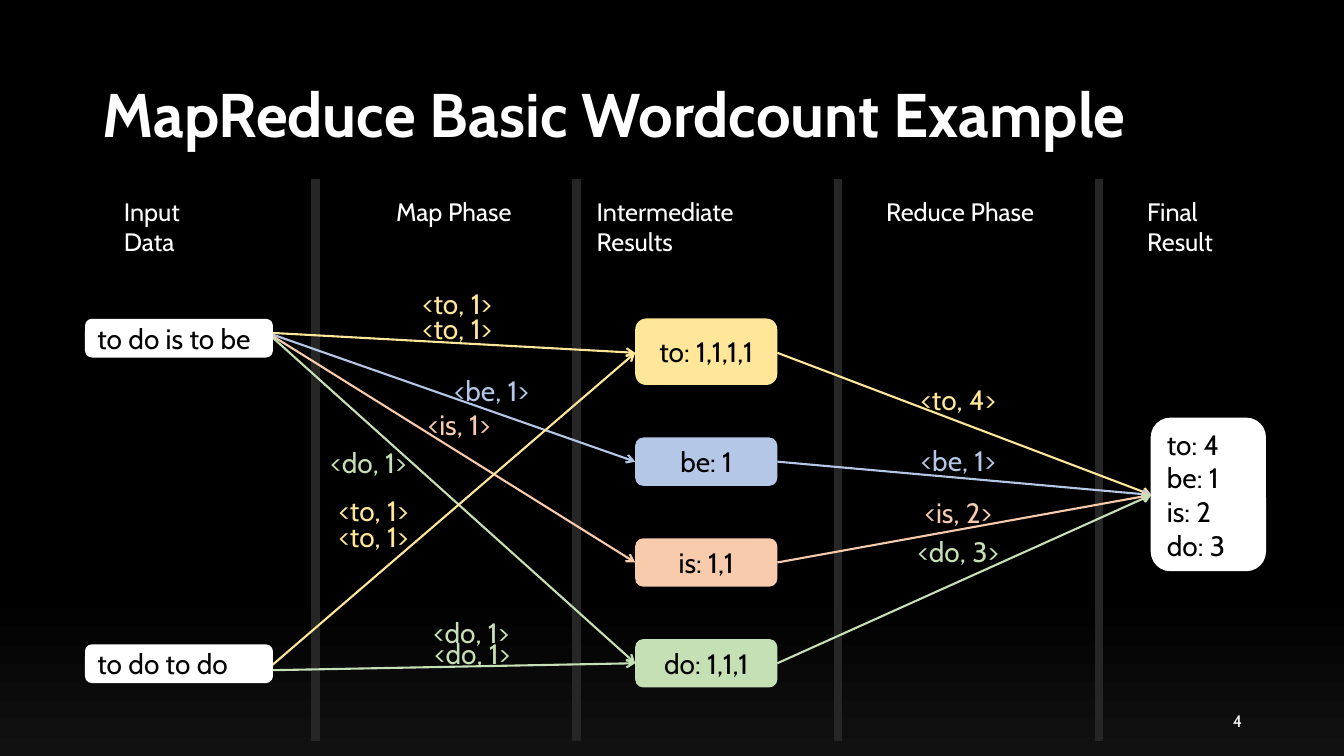
import pptx
import pptx.util
import pptx.dml.color
import pptx.enum.shapes
import pptx.enum.text
import pptx.oxml.ns
import pptx.oxml.xmlchemy

Inches, Pt = pptx.util.Inches, pptx.util.Pt
RGBColor = pptx.dml.color.RGBColor
OxmlElement = pptx.oxml.xmlchemy.OxmlElement
ALIGN, ANCHOR = pptx.enum.text.PP_ALIGN, pptx.enum.text.MSO_ANCHOR
AUTO = pptx.enum.text.MSO_AUTO_SIZE

WHITE = RGBColor(0xFF, 0xFF, 0xFF)
BLACK = RGBColor(0x00, 0x00, 0x00)
NEAR_BLACK = RGBColor(0x11, 0x11, 0x11)
GREY = RGBColor(0x26, 0x26, 0x26)
YELLOW = RGBColor(0xFF, 0xE6, 0x99)
BLUE = RGBColor(0xB4, 0xC7, 0xE7)
ORANGE = RGBColor(0xF8, 0xCB, 0xAD)
GREEN = RGBColor(0xC5, 0xE0, 0xB4)


def write(tf, text, size=20, color=WHITE, bold=False, align=ALIGN.LEFT,
          anchor=ANCHOR.TOP, spacing=None, font="Cabin"):
    """Newlines separate paragraphs, vertical tabs break lines."""
    tf.word_wrap = True
    tf.vertical_anchor = anchor
    for i, line in enumerate(text.split("\n")):
        p = tf.add_paragraph() if i else tf.paragraphs[0]
        p.text = line
        p.alignment = align
        if spacing:
            p.line_spacing = spacing
        for r in p.runs:
            r.font.name, r.font.size, r.font.bold = font, Pt(size), bold
            r.font.color.rgb = color


class Deck:
    def __init__(self):
        self.prs = pptx.Presentation()
        self.prs.slide_width, self.prs.slide_height = Inches(13.33), Inches(7.5)
        self.s = self.prs.slides.add_slide(self.prs.slide_layouts[5])

    def background(self, *stops):
        fill = self.s.background.fill
        fill.gradient()
        fill.gradient_angle = 270
        for stop, (position, color) in zip(fill.gradient_stops, stops):
            stop.position, stop.color.rgb = position, color

    def title(self, text, x, y, w, h):
        sp = self.s.shapes.title
        sp.left, sp.top, sp.width, sp.height = map(Inches, (x, y, w, h))
        sp.text_frame.auto_size = AUTO.NONE
        write(sp.text_frame, text, size=44, bold=True, anchor=ANCHOR.MIDDLE, spacing=0.9)

    def text(self, text, x, y, w, h, **style):
        sp = self.s.shapes.add_textbox(*map(Inches, (x, y, w, h)))
        write(sp.text_frame, text, **style)

    def box(self, text, x, y, w, h, fill, line=None, align=ALIGN.CENTER):
        kind = pptx.enum.shapes.MSO_SHAPE.ROUNDED_RECTANGLE
        sp = self.s.shapes.add_shape(kind, *map(Inches, (x, y, w, h)))
        sp.shadow.inherit = False
        sp.fill.solid()
        sp.fill.fore_color.rgb = fill
        if line is None:
            sp.line.fill.background()
        else:
            sp.line.color.rgb, sp.line.width = line, Pt(1)
        write(sp.text_frame, text, color=BLACK, align=align, anchor=ANCHOR.MIDDLE)

    def line(self, start, end, color, width=1.5, arrow=True):
        straight = pptx.enum.shapes.MSO_CONNECTOR.STRAIGHT
        c = self.s.shapes.add_connector(straight, *map(Inches, (*start, *end)))
        c.line.color.rgb, c.line.width = color, Pt(width)
        sp_pr = c._element.find(pptx.oxml.ns.qn("p:spPr"))
        if arrow:
            tail = OxmlElement("a:tailEnd")
            tail.set("type", "arrow")
            sp_pr.find(pptx.oxml.ns.qn("a:ln")).append(tail)
        sp_pr.append(OxmlElement("a:effectLst"))


def main():
    d = Deck()
    d.background((0.78, BLACK), (1.0, NEAR_BLACK))

    # Phase dividers, title and page number
    for i in range(4):
        x = 3.13 + 2.59 * i
        d.line((x, 1.78), (x, 7.35), GREY, width=6, arrow=False)
    d.title("MapReduce Basic Wordcount Example", 0.92, 0.44, 11.5, 1.45)
    d.text("4", 9.42, 6.95, 3, 0.4, size=12, align=ALIGN.RIGHT, anchor=ANCHOR.MIDDLE)

    # Column headings
    for heading, x, w in (("Input\vData", 1.13, 1.31), ("Map Phase", 3.83, 1.45),
                          ("Intermediate\vResults", 5.82, 2.36),
                          ("Reduce Phase", 8.69, 1.67), ("Final\vResult", 11.28, 1.4)):
        d.text(heading, x, 1.9, w, 0.4, size=18)

    # Map arrows, from the two inputs to each word
    first, second = (2.65, 3.3), (2.64, 6.65)
    word_y = {YELLOW: 3.5, BLUE: 4.58, ORANGE: 5.58, GREEN: 6.58}
    for start, colors in ((first, word_y), (second, (YELLOW, GREEN))):
        for color in colors:
            d.line(start, (6.3, word_y[color]), color)

    # Input data
    for text, y in (("to do is to be", 3.17), ("to do to do", 6.4)):
        d.box(text, 0.85, y, 1.85, 0.37, WHITE, line=WHITE, align=ALIGN.LEFT)

    # Intermediate and final results
    for text, color, y, h in (("to: 1,1,1,1", YELLOW, 3.16, 0.66), ("be: 1", BLUE, 4.34, 0.48),
                              ("is: 1,1", ORANGE, 5.34, 0.48), ("do: 1,1,1", GREEN, 6.34, 0.48)):
        d.box(text, 6.3, y, 1.41, h, color)
    d.box("to: 4\nbe: 1 \vis: 2\ndo: 3", 11.42, 4.15, 1.13, 1.51, WHITE,
          line=WHITE, align=ALIGN.LEFT)

    # Reduce arrows
    for color, y in word_y.items():
        d.line((7.71, y), (11.42, 4.91), color)

    # Key-value pairs on the arrows
    for pair, color, x, y in (
            ("<to, 1>", YELLOW, 3.95, 2.79), ("<to, 1>", YELLOW, 3.95, 3.04),
            ("<be, 1>", BLUE, 4.29, 3.66), ("<is, 1>", ORANGE, 3.97, 3.99),
            ("<do, 1>", GREEN, 3.07, 4.37),
            ("<to, 1>", YELLOW, 3.12, 4.85), ("<to, 1>", YELLOW, 3.12, 5.1),
            ("<do, 1>", GREEN, 4.09, 6.06), ("<do, 1>", GREEN, 4.1, 6.27),
            ("<to, 4>", YELLOW, 8.92, 3.75), ("<be, 1>", BLUE, 8.92, 4.35),
            ("<is, 2>", ORANGE, 8.92, 4.87), ("<do, 3>", GREEN, 8.92, 5.25)):
        d.text(pair, x, y, 1.17, 0.44, color=color, align=ALIGN.CENTER)

    d.prs.save("out.pptx")


if __name__ == "__main__":
    main()
